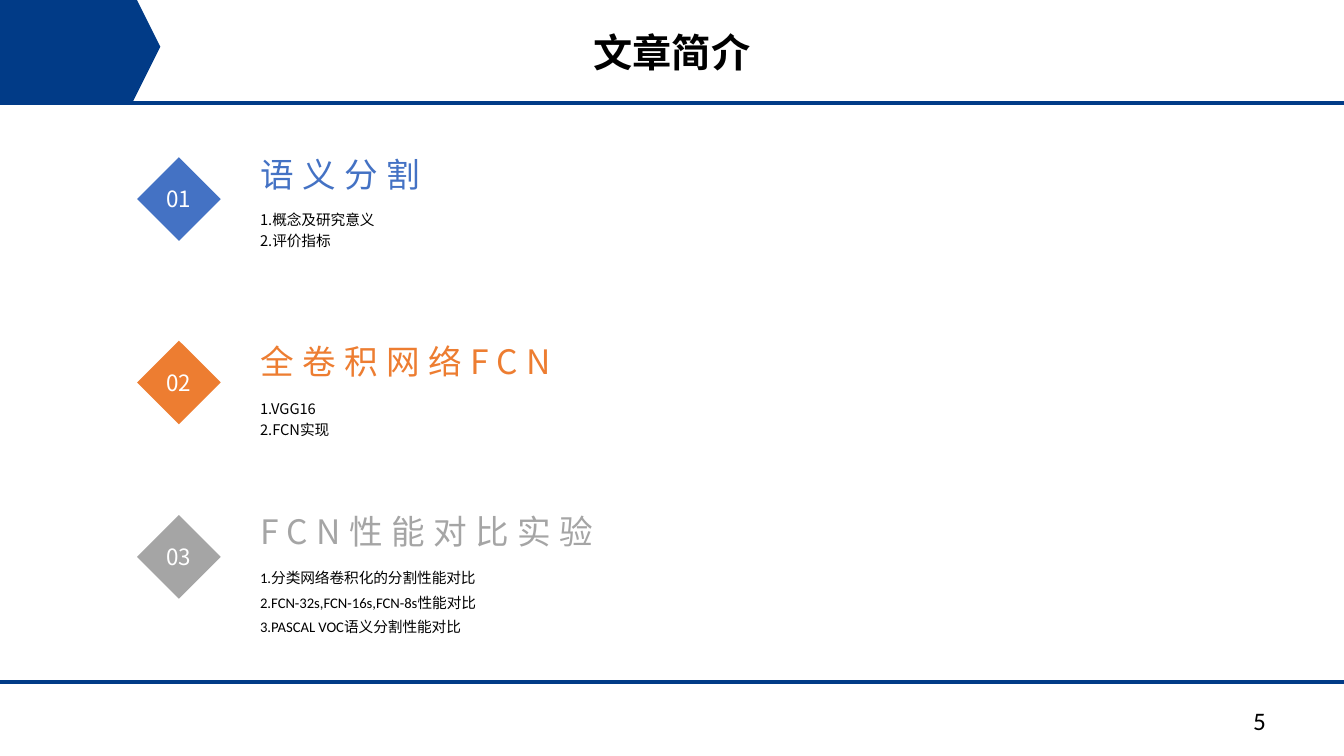
from lxml import etree
from pptx import Presentation
from pptx.dml.color import RGBColor
from pptx.enum.shapes import MSO_CONNECTOR, MSO_SHAPE
from pptx.enum.text import MSO_ANCHOR as ANCHOR, PP_ALIGN as ALIGN
from pptx.oxml.ns import qn
from pptx.util import Inches, Pt

# Content
TITLE = "文章简介"
PAGE = "5"
# number, colour, diamond top, heading, (top, height), items, (top, height), line spacing, item font
SECTIONS = [
    ("01", "blue", 1.56, "语义分割", (1.53, 0.4),
     ["1.概念及研究意义", "2.评价指标"], (2.05, 0.43), 1.2, "Noto Sans CJK SC"),
    ("02", "orange", 3.38, "全卷积网络FCN", (3.38, 0.4),
     ["1.VGG16", "2.FCN实现"], (3.93, 0.43), 1.2, "Noto Sans CJK SC"),
    ("03", "gray", 5.11, "FCN性能对比实验", (4.71, 0.76),
     ["1.分类网络卷积化的分割性能对比", "2.FCN-32s,FCN-16s,FCN-8s性能对比",
      "3.PASCAL VOC语义分割性能对比"], (5.54, 0.8), 1.4, "Calibri"),
]
COLORS = {"navy": "013B87", "blue": "4472C4", "orange": "ED7D31",
          "gray": "A5A5A5", "black": "000000", "white": "FFFFFF"}
CJK = "Noto Sans CJK SC"
DIAMOND_LEFT, DIAMOND = 1.36, 0.83
TEXT_LEFT, TEXT_WIDTH, INDENT = 2.19, 5.27, 0.39

prs = Presentation()
prs.slide_width, prs.slide_height = Inches(13.33), Inches(7.5)
slide = prs.slides.add_slide(prs.slide_layouts[6])


def rgb(name):
    return RGBColor.from_string(COLORS[name])


def write(sp, lines, size, color, font=CJK, bold=False, align=ALIGN.LEFT,
          anchor=ANCHOR.TOP, spacing=None, tracking=0, wrap=True, insets=None):
    tf = sp.text_frame
    tf.word_wrap = wrap
    tf.vertical_anchor = anchor
    if insets:
        (tf.margin_left, tf.margin_top,
         tf.margin_right, tf.margin_bottom) = map(Inches, insets)
    tf.text = "\n".join(lines)
    for p in tf.paragraphs:
        p.alignment = align
        p.line_spacing = spacing
        p.font.name, p.font.size, p.font.bold = font, Pt(size), bold
        p.font.color.rgb = rgb(color)
        # East Asian typeface and letter spacing
        props = p._p.pPr.find(qn("a:defRPr"))
        props.set("spc", str(tracking * 100))
        ea = etree.Element(qn("a:ea"), typeface=CJK)
        props.find(qn("a:latin")).addnext(ea)


def add_text(left, top, width, height, lines, size, color, **style):
    sp = slide.shapes.add_textbox(*map(Inches, (left, top, width, height)))
    write(sp, lines, size, color, **style)


def add_shape(kind, left, top, width, height, color):
    sp = slide.shapes.add_shape(kind, *map(Inches, (left, top, width, height)))
    sp.shadow.inherit = False
    sp.fill.solid()
    sp.fill.fore_color.rgb = rgb(color)
    sp.line.fill.background()
    return sp


def add_rule(x1, x2, y):
    line = slide.shapes.add_connector(
        MSO_CONNECTOR.STRAIGHT, *map(Inches, (x1, y, x2, y)))
    line.line.color.rgb = rgb("navy")
    line.line.width = Pt(3)
    etree.SubElement(line._element.spPr, qn("a:effectLst"))


# Header and footer
add_rule(-0.17, 13.37, 1.02)
add_shape(MSO_SHAPE.HEXAGON, -0.5, -0.09, 2.09, 1.11, "navy")
add_rule(-0.1, 13.43, 6.77)
add_text(12.33, 6.95, 1, 0.4, [PAGE], 18, "black", font="Calibri")
add_text(5.79, 0.23, 2, 0.57, [TITLE], 28, "black", bold=True)

# Numbered sections
for (number, color, top, heading, (head_top, head_height),
     items, (items_top, items_height), spacing, font) in SECTIONS:
    diamond = add_shape(MSO_SHAPE.DIAMOND, DIAMOND_LEFT, top, DIAMOND, DIAMOND, color)
    write(diamond, [number], 16, "white", align=ALIGN.CENTER,
          anchor=ANCHOR.MIDDLE, wrap=False, insets=(0, 0, 0, 0))
    add_text(TEXT_LEFT, head_top, TEXT_WIDTH, head_height, [heading], 24, color,
             anchor=ANCHOR.BOTTOM, tracking=6, wrap=False, insets=(INDENT, 0, 0, 0))
    add_text(TEXT_LEFT, items_top, TEXT_WIDTH, items_height, items, 10.5, "black",
             font=font, anchor=ANCHOR.MIDDLE, spacing=spacing, insets=(INDENT, 0, 0, 0))

prs.save("out.pptx")
